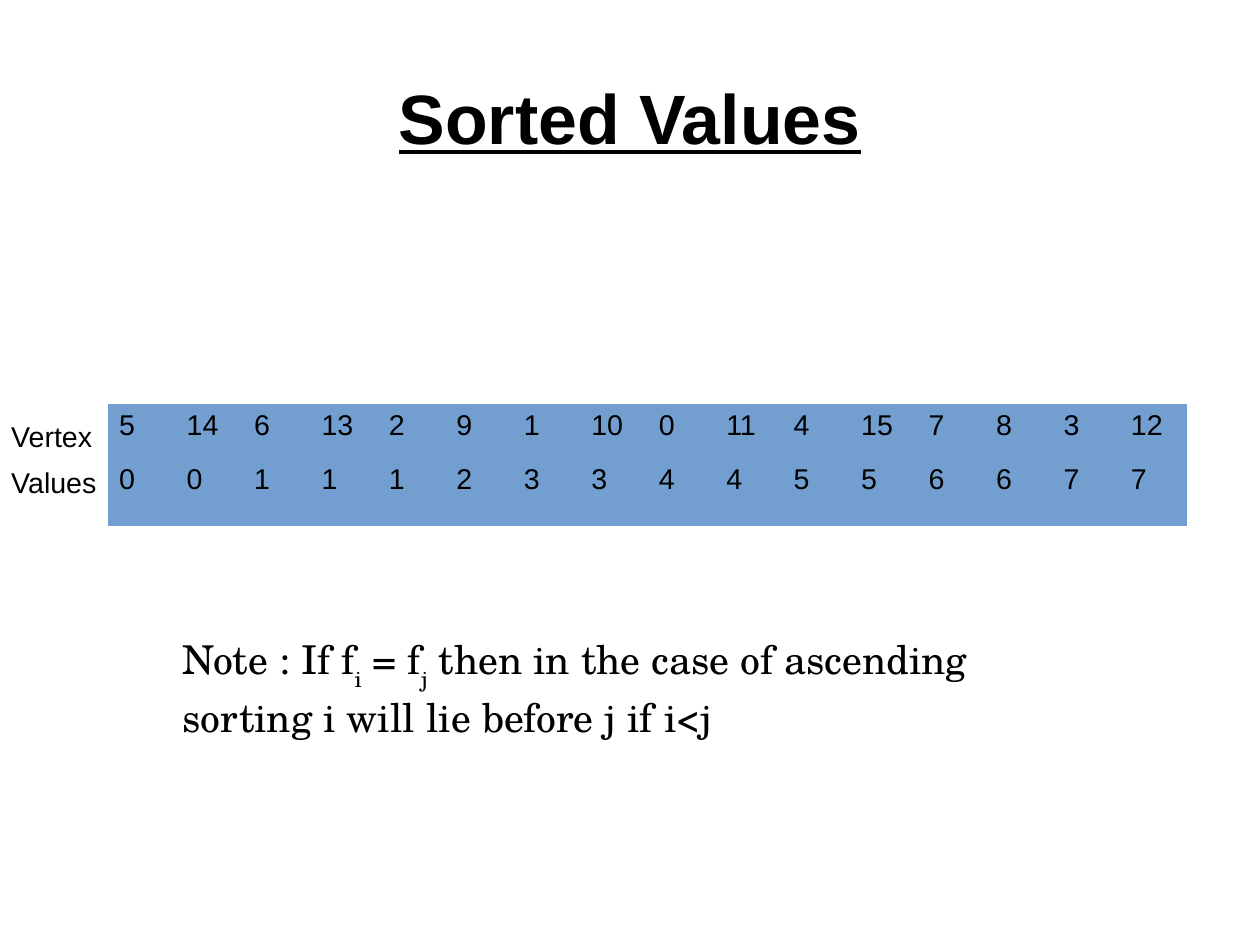
"""Build the slide listing vertices sorted by their values."""
from dataclasses import dataclass

from pptx import Presentation
from pptx.dml.color import RGBColor
from pptx.enum.text import MSO_ANCHOR, PP_ALIGN
from pptx.oxml.ns import qn
from pptx.util import Cm, Pt

LEFT, CENTER = PP_ALIGN.LEFT, PP_ALIGN.CENTER
TOP, MIDDLE = MSO_ANCHOR.TOP, MSO_ANCHOR.MIDDLE
WIDTH, HEIGHT = Cm(28), Cm(21)
SANS, SERIF = "Arial", "TeX Gyre Schola"
BLACK, BLUE = "000000", "729FCF"
NO_GRID_STYLE = "{2D5ABB26-0587-4C30-8999-92F81FD0307C}"

VERTICES = [5, 14, 6, 13, 2, 9, 1, 10, 0, 11, 4, 15, 7, 8, 3, 12]
VALUES = [0, 0, 1, 1, 1, 2, 3, 3, 4, 4, 5, 5, 6, 6, 7, 7]
ROW_HEIGHTS = [5.8, 7.15]
TABLE_LEFT, TABLE_TOP, TABLE_WIDTH = 8.55, 42.7, 85.68
LABEL_WIDTH = 8.7


@dataclass
class Run:
    """A stretch of text, on the baseline or below it."""
    text: str
    subscript: bool = False


@dataclass
class TextBlock:
    """A text box placed in percent of the slide's size."""
    left: float
    top: float
    width: float
    height: float
    runs: list[Run]
    size: float = 18
    font: str = SANS
    heading: bool = False


BLOCKS = [
    TextBlock(5, 4, 90, 16.7, [Run("Sorted Values")], size=44, heading=True),
    TextBlock(0, 43.77, LABEL_WIDTH, 5.68, [Run("Vertex")]),
    TextBlock(0, 48.58, LABEL_WIDTH, 4.72, [Run("Values")]),
    TextBlock(13.6, 66.62, 70, 17.17, [
        Run("Note : If f"), Run("i", True), Run(" = f"), Run("j", True),
        Run(" then in the case of ascending sorting i will lie before j if i<j"),
    ], size=25, font=SERIF),
]


def across(percent: float) -> int:
    """Turn a share of the slide's width into a length."""
    return round(WIDTH * percent / 100)


def down(percent: float) -> int:
    """Turn a share of the slide's height into a length."""
    return round(HEIGHT * percent / 100)


def color(hex_code: str) -> RGBColor:
    """Turn a hex string into a colour."""
    return RGBColor.from_string(hex_code)


def add_run(p, run: Run, size: float, font: str, heading: bool = False) -> None:
    """Add one styled run to a paragraph."""
    r = p.add_run()
    r.text = run.text
    r.font.size, r.font.name = Pt(size), font
    r.font.color.rgb = color(BLACK)
    r.font.bold = r.font.underline = heading
    if run.subscript:
        r.font._element.set("baseline", "-33000")


def add_block(s, block: TextBlock) -> None:
    """Draw one text block."""
    sp = s.shapes.add_textbox(across(block.left), down(block.top),
                              across(block.width), down(block.height))
    tf = sp.text_frame
    tf.word_wrap = True
    tf.vertical_anchor = MIDDLE if block.heading else TOP
    if block.heading:
        tf.margin_left = tf.margin_right = tf.margin_top = tf.margin_bottom = 0
    p = tf.paragraphs[0]
    p.alignment = CENTER if block.heading else LEFT
    for run in block.runs:
        add_run(p, run, block.size, block.font, block.heading)


def add_sorted_table(s, rows: list[list[int]]) -> None:
    """Draw the table of vertices and values with equal columns."""
    count = len(rows[0])
    frame = s.shapes.add_table(len(rows), count, across(TABLE_LEFT), down(TABLE_TOP),
                               across(TABLE_WIDTH), down(sum(ROW_HEIGHTS)))
    table = frame.table
    table.first_row = table.horz_banding = False
    for style in frame._element.iter(qn("a:tableStyleId")):
        style.text = NO_GRID_STYLE
    for column in table.columns:
        column.width = across(TABLE_WIDTH / count)
    for i, (numbers, height) in enumerate(zip(rows, ROW_HEIGHTS)):
        table.rows[i].height = down(height)
        for j, number in enumerate(numbers):
            cell = table.cell(i, j)
            cell.fill.solid()
            cell.fill.fore_color.rgb = color(BLUE)
            add_run(cell.text_frame.paragraphs[0], Run(str(number)), 18, SANS)


def main() -> None:
    """Build and save the slide."""
    prs = Presentation()
    prs.slide_width, prs.slide_height = WIDTH, HEIGHT
    s = prs.slides.add_slide(prs.slide_layouts[6])
    title, *others = BLOCKS
    add_block(s, title)
    add_sorted_table(s, [VERTICES, VALUES])
    for block in others:
        add_block(s, block)
    prs.save("out.pptx")


if __name__ == "__main__":
    main()
